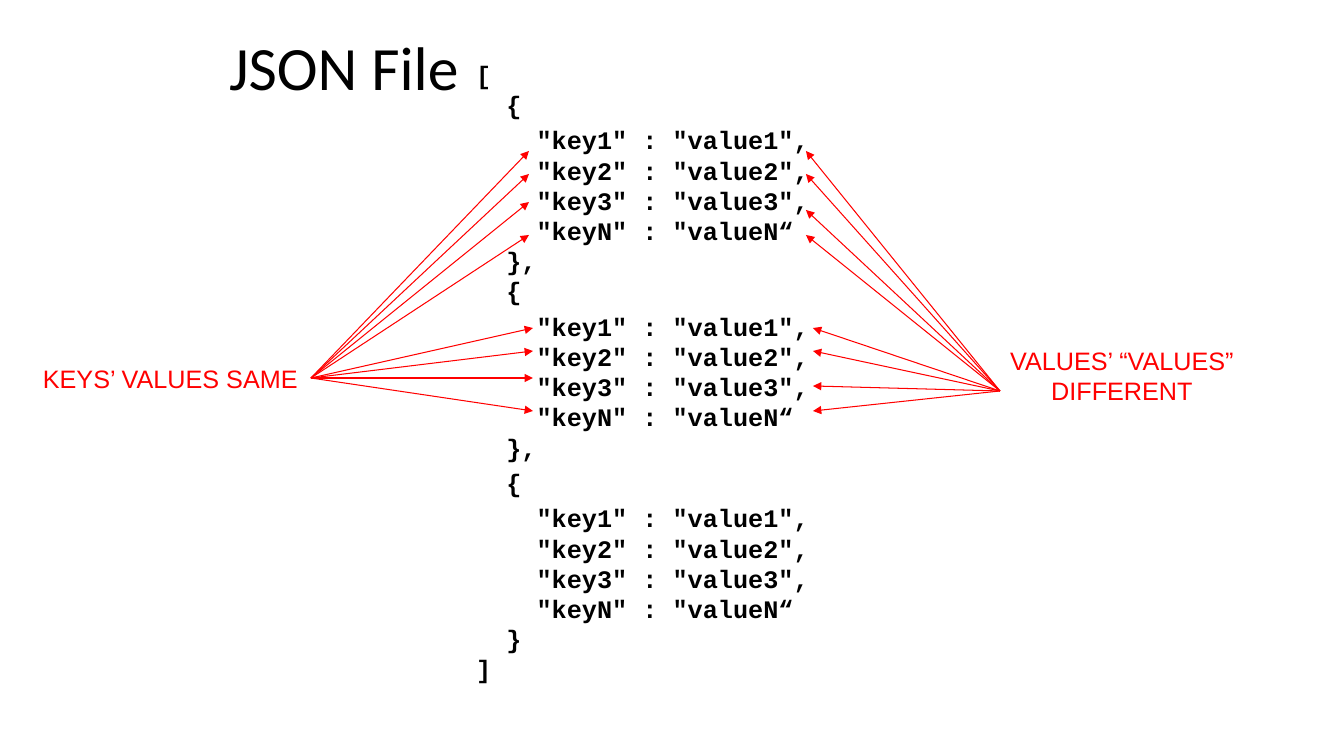
from lxml.etree import SubElement
from pptx import Presentation
from pptx.dml.color import RGBColor
from pptx.enum.shapes import MSO_CONNECTOR
from pptx.enum.text import MSO_ANCHOR, MSO_AUTO_SIZE, PP_ALIGN
from pptx.oxml.ns import qn
from pptx.util import Emu, Pt

SCALE = 914400 / 100.8
COLORS = {"text": "000000", "background": "FFFFFF", "accent": "FF0000"}


def place(shape, *box):
    """Set left, top, width and height of a shape in pixels."""
    shape.left, shape.top, shape.width, shape.height = (Emu(round(n * SCALE)) for n in box)


def add_run(paragraph, text, font, size, color, bold=False):
    """Add one formatted run to a paragraph."""
    run = paragraph.add_run()
    run.text = text
    run.font.name, run.font.size, run.font.bold = font, Pt(size), bold
    run.font.color.rgb = RGBColor.from_string(COLORS[color])


presentation = Presentation()
presentation.slide_width = Emu(round(1344 * SCALE))
presentation.slide_height = Emu(round(756 * SCALE))
slide = presentation.slides.add_slide(presentation.slide_layouts[1])
title, body = slide.placeholders

# Title
place(title, 219, 30, 907, 71)
title.text_frame.vertical_anchor = MSO_ANCHOR.MIDDLE
title.text_frame.auto_size = MSO_AUTO_SIZE.NONE
title_paragraph = title.text_frame.paragraphs[0]
title_paragraph.alignment = PP_ALIGN.LEFT
add_run(title_paragraph, "JSON File", "Calibri", 44, "text")

# JSON listing: each line is (indent in characters, space before in points, text)
place(body, 466, 54, 411, 647)
body.fill.solid()
body.fill.fore_color.rgb = RGBColor.from_string(COLORS["background"])
body.text_frame.auto_size = MSO_AUTO_SIZE.NONE
body.text_frame.word_wrap = True

BLOCK_GAP = 3.6
CHARACTER_WIDTH = 10.8
lines = [(0, 0, "[")]
for open_gap, closing in ((0, "},"), (0, "},"), (BLOCK_GAP, "}")):
    lines.append((2, open_gap, "{"))
    for key in "123N":
        ending = "“" if key == "N" else '",'
        gap = BLOCK_GAP if key == "1" else 0
        lines.append((4, gap, f'"key{key}" : "value{key}{ending}'))
    lines.append((2, 0, closing))
lines.append((0, 0, "]"))

for number, (indent, gap, text) in enumerate(lines):
    frame = body.text_frame
    paragraph = frame.add_paragraph() if number else frame.paragraphs[0]
    paragraph.space_before = Pt(gap)
    paragraph.line_spacing = Pt(21.6)
    properties = paragraph._p.get_or_add_pPr()
    properties.set("marL", str(Pt(indent * CHARACTER_WIDTH)))
    properties.set("indent", "0")
    SubElement(properties, qn("a:buNone"))
    add_run(paragraph, text, "Courier New", 18, "text", bold=True)

# Labels
labels = (
    ("KEYS’ VALUES SAME", (33, 358, 277, 40), False, PP_ALIGN.LEFT),
    ("VALUES’ “VALUES” DIFFERENT", (1000, 340, 244, 102), True, PP_ALIGN.CENTER),
)
for text, box, wrap, alignment in labels:
    label = slide.shapes.add_textbox(0, 0, 0, 0)
    place(label, *box)
    label.text_frame.word_wrap = wrap
    label.text_frame.auto_size = MSO_AUTO_SIZE.SHAPE_TO_FIT_TEXT
    label_paragraph = label.text_frame.paragraphs[0]
    label_paragraph.alignment = alignment
    add_run(label_paragraph, text, "Arial", 18, "accent")

# Arrows fan out from each label to the keys or values of two objects
keys_start, values_start = (311, 378), (1000, 391)
fans = (
    (keys_start, 529, (151, 174, 202, 235)),
    (values_start, 806, (151, 174, 210, 235)),
    (keys_start, 533, (328, 351, 378, 411)),
    (values_start, 813, (328, 351, 386, 411)),
)
for start, end_x, end_ys in fans:
    for end_y in end_ys:
        ends = (Emu(round(n * SCALE)) for n in (*start, end_x, end_y))
        arrow = slide.shapes.add_connector(MSO_CONNECTOR.STRAIGHT, *ends)
        arrow.line.color.rgb = RGBColor.from_string(COLORS["accent"])
        arrow.line.width = Pt(0.75)
        SubElement(arrow.line._get_or_add_ln(), qn("a:tailEnd"), type="triangle")
        SubElement(arrow._element.spPr, qn("a:effectLst"))

presentation.save("out.pptx")
